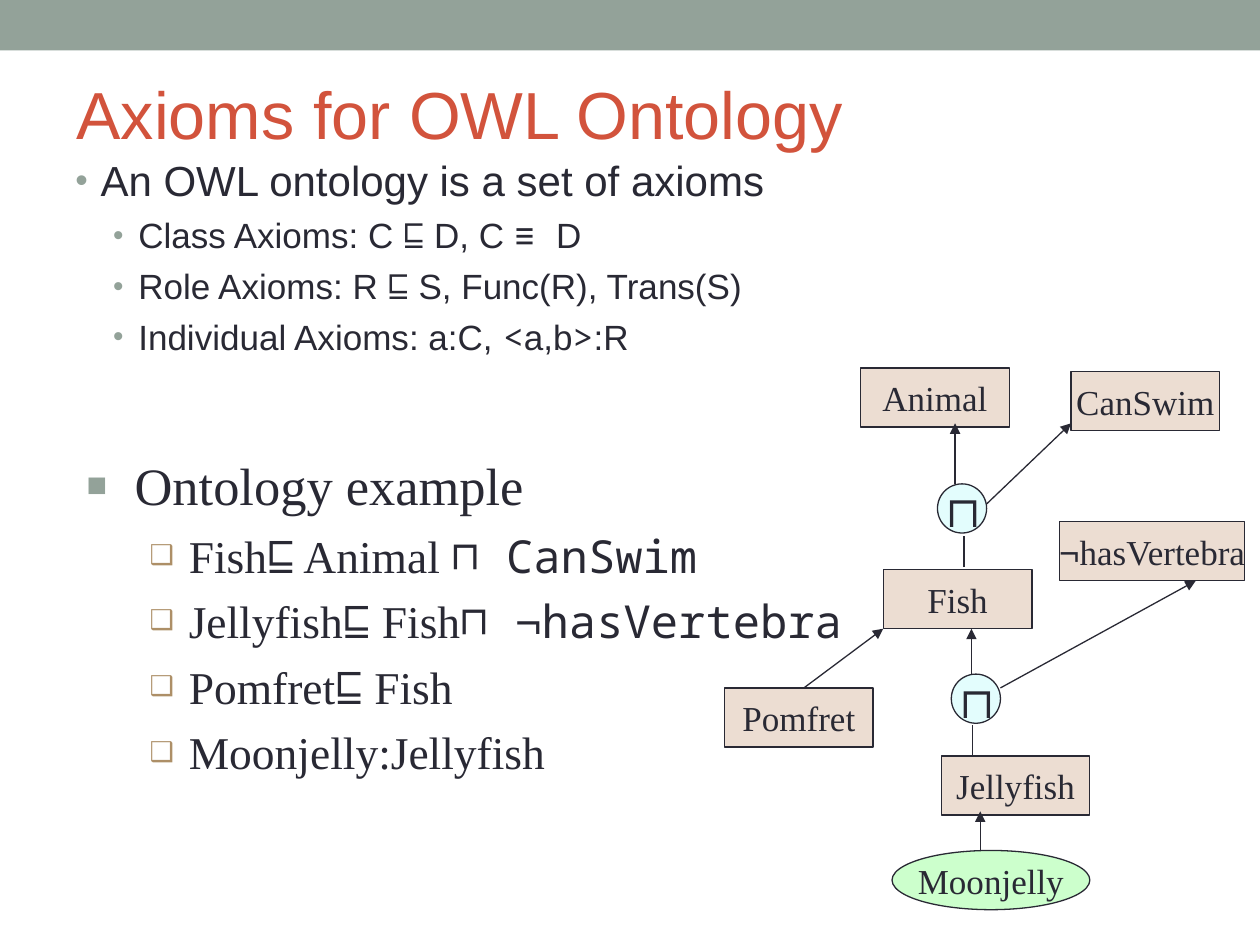
from lxml import etree
from pptx import Presentation
from pptx.dml.color import RGBColor
from pptx.enum.shapes import MSO_CONNECTOR, MSO_SHAPE
from pptx.enum.text import MSO_ANCHOR, PP_ALIGN
from pptx.oxml.ns import qn
from pptx.util import Inches, Pt

RECT, OVAL = MSO_SHAPE.RECTANGLE, MSO_SHAPE.OVAL
STRAIGHT = MSO_CONNECTOR.STRAIGHT
MIDDLE, TOP = MSO_ANCHOR.MIDDLE, MSO_ANCHOR.TOP
CENTER, LEFT = PP_ALIGN.CENTER, PP_ALIGN.LEFT

SANS, SERIF, MONO = "Arial", "Times New Roman", "Noto Sans Mono"
COLORS = {
    "band": "93A299",
    "title": "D2533C",
    "ink": "292934",
    "sub_bullet": "AD8F67",
    "concept": "ECDDD2",
    "junction": "E3FDFD",
    "individual": "CCFFCC",
}
NODE_W, NODE_H, JUNCTION_D = 1.18, 0.47, 0.39

AXIOM_HEAD = dict(margin=0.2, hang=0.2, char="•", color="band", percent=85, size=24)
AXIOM_ITEM = dict(AXIOM_HEAD, margin=0.5, size=20, level=1, before=5, line=24)
EXAMPLE_HEAD = dict(margin=0.38, hang=0.38, char="■", color="band", percent=65, size=30)
EXAMPLE_ITEM = dict(margin=0.81, hang=0.31, char="❑", color="sub_bullet", percent=60,
                    size=26, level=1, before=6.5, line=31)

AXIOMS = [
    (AXIOM_HEAD, [("An OWL ontology is a set of axioms", SANS)]),
    (AXIOM_ITEM, [("Class Axioms: C ", SANS), ("⊑", MONO), (" D, C ", SANS),
                  ("≡ ", MONO), ("D", SANS)]),
    (AXIOM_ITEM, [("Role Axioms: R ", SANS), ("⊑", MONO),
                  (" S, Func(R), Trans(S)", SANS)]),
    (AXIOM_ITEM, [("Individual Axioms: a:C, ", SANS), ("<", MONO), ("a,b", SANS),
                  (">", MONO), (":R", SANS)]),
]
EXAMPLE = [
    (EXAMPLE_HEAD, [("Ontology example", SERIF)]),
    (EXAMPLE_ITEM, [("Fish", SERIF), ("⊑", MONO), (" Animal ", SERIF),
                    ("⊓ CanSwim", MONO)]),
    (EXAMPLE_ITEM, [("Jellyfish", SERIF), ("⊑", MONO), (" Fish", SERIF), ("⊓ ", MONO),
                    ("¬", SANS), ("hasVertebra", MONO)]),
    (EXAMPLE_ITEM, [("Pomfret", SERIF), ("⊑", MONO), (" Fish", SERIF)]),
    (EXAMPLE_ITEM, [("Moonjelly:Jellyfish", SERIF)]),
]
CONCEPTS = [
    ("Animal", 6.83, 2.92, 0.75),
    ("Fish", 7.01, 4.52, 0.75),
    ("CanSwim", 8.5, 2.95, 0.75),
    ("Jellyfish", 7.47, 6, 0.75),
    ("Pomfret", 5.75, 5.46, 1),
]
ARROWS = [
    (7.71, 5.7, 7.71, 4.99),
    (7.58, 3.84, 7.58, 3.36),
    (7.83, 4, 8.5, 3.36),
    (6.38, 5.46, 7.01, 4.99),
    (7.78, 6.91, 7.78, 6.44),
    (7.94, 5.46, 9.49, 4.61),
]
STEMS = [(7.65, 4.5, 7.65, 4.25), (7.72, 6, 7.72, 5.75)]
JUNCTIONS = [(7.44, 3.84), (7.55, 5.35)]


def rgb(name):
    return RGBColor.from_string(COLORS[name])


class OntologySlide:
    def __init__(self, slide):
        self.slide = slide

    def add_pieces(self, paragraph, pieces, size, color="ink"):
        for words, font_name in pieces:
            run = paragraph.add_run()
            run.text = words
            run.font.name = font_name
            run.font.size = Pt(size)
            run.font.color.rgb = rgb(color)

    def bullet(self, paragraph, style):
        props = paragraph._p.get_or_add_pPr()
        props.set("marL", str(Inches(style["margin"])))
        props.set("indent", str(-Inches(style["hang"])))
        tint = etree.SubElement(props, qn("a:buClr"))
        etree.SubElement(tint, qn("a:srgbClr"), val=COLORS[style["color"]])
        etree.SubElement(props, qn("a:buSzPct"), val=str(style["percent"] * 1000))
        etree.SubElement(props, qn("a:buFont"), typeface=SANS)
        etree.SubElement(props, qn("a:buChar"), char=style["char"])

    def text(self, x, y, w, h, pieces, size, color="ink", align=LEFT, wrap=True):
        box = self.slide.shapes.add_textbox(Inches(x), Inches(y), Inches(w), Inches(h))
        box.text_frame.word_wrap = wrap
        box.text_frame.vertical_anchor = MIDDLE
        paragraph = box.text_frame.paragraphs[0]
        paragraph.alignment = align
        self.add_pieces(paragraph, pieces, size, color)

    def outline(self, x, y, w, h, entries):
        box = self.slide.shapes.add_textbox(Inches(x), Inches(y), Inches(w), Inches(h))
        frame = box.text_frame
        frame.word_wrap = True
        frame.vertical_anchor = TOP
        for index, (style, pieces) in enumerate(entries):
            paragraph = frame.add_paragraph() if index else frame.paragraphs[0]
            self.bullet(paragraph, style)
            paragraph.level = style.get("level", 0)
            if "before" in style:
                paragraph.space_before = Pt(style["before"])
                paragraph.line_spacing = Pt(style["line"])
            self.add_pieces(paragraph, pieces, style["size"])

    def shape(self, kind, x, y, w, h, fill, pieces=(), weight=0.75):
        node = self.slide.shapes.add_shape(kind, Inches(x), Inches(y), Inches(w), Inches(h))
        node.shadow.inherit = False
        node.fill.solid()
        node.fill.fore_color.rgb = rgb(fill)
        if weight:
            node.line.color.rgb = rgb("ink")
            node.line.width = Pt(weight)
        else:
            node.line.fill.background()
        node.text_frame.word_wrap = False
        node.text_frame.vertical_anchor = MIDDLE
        node.text_frame.paragraphs[0].alignment = CENTER
        self.add_pieces(node.text_frame.paragraphs[0], pieces, 20)

    def junction(self, x, y):
        self.shape(OVAL, x, y, JUNCTION_D, JUNCTION_D, "junction")
        self.text(x - 0.11, y - 0.06, 0.63, 0.55, [("⊓", SERIF)], 24,
                  align=CENTER, wrap=False)

    def link(self, x1, y1, x2, y2, arrow=False):
        edge = self.slide.shapes.add_connector(
            STRAIGHT, Inches(x1), Inches(y1), Inches(x2), Inches(y2))
        edge.line.color.rgb = rgb("ink")
        edge.line.width = Pt(0.75)
        if arrow:
            etree.SubElement(edge.line._get_or_add_ln(), qn("a:tailEnd"), type="triangle")
        etree.SubElement(edge._element.spPr, qn("a:effectLst"))


def main():
    deck = Presentation()
    deck.slide_width, deck.slide_height = Inches(10), Inches(7.5)
    page = OntologySlide(deck.slides.add_slide(deck.slide_layouts[6]))

    page.shape(RECT, 0, 0, 10, 0.4, "band", weight=0)
    page.text(0.51, 0.36, 9, 1.08, [("Axioms for OWL Ontology", SANS)], 38, "title")
    page.outline(0.5, 1.18, 9, 2.44, AXIOMS)
    page.outline(0.59, 3.55, 9, 2.8, EXAMPLE)

    for name, x, y, weight in CONCEPTS:
        page.shape(RECT, x, y, NODE_W, NODE_H, "concept", [(name, SERIF)], weight)
    page.shape(RECT, 8.41, 4.14, 1.47, NODE_H, "concept",
               [("¬", SANS), ("hasVertebra", SERIF)])
    for ends in ARROWS:
        page.link(*ends, arrow=True)
    for ends in STEMS:
        page.link(*ends)
    for corner in JUNCTIONS:
        page.junction(*corner)
    page.shape(OVAL, 7.08, 6.75, 1.57, NODE_H, "individual", [("Moonjelly", SERIF)])

    deck.save("out.pptx")


if __name__ == "__main__":
    main()
